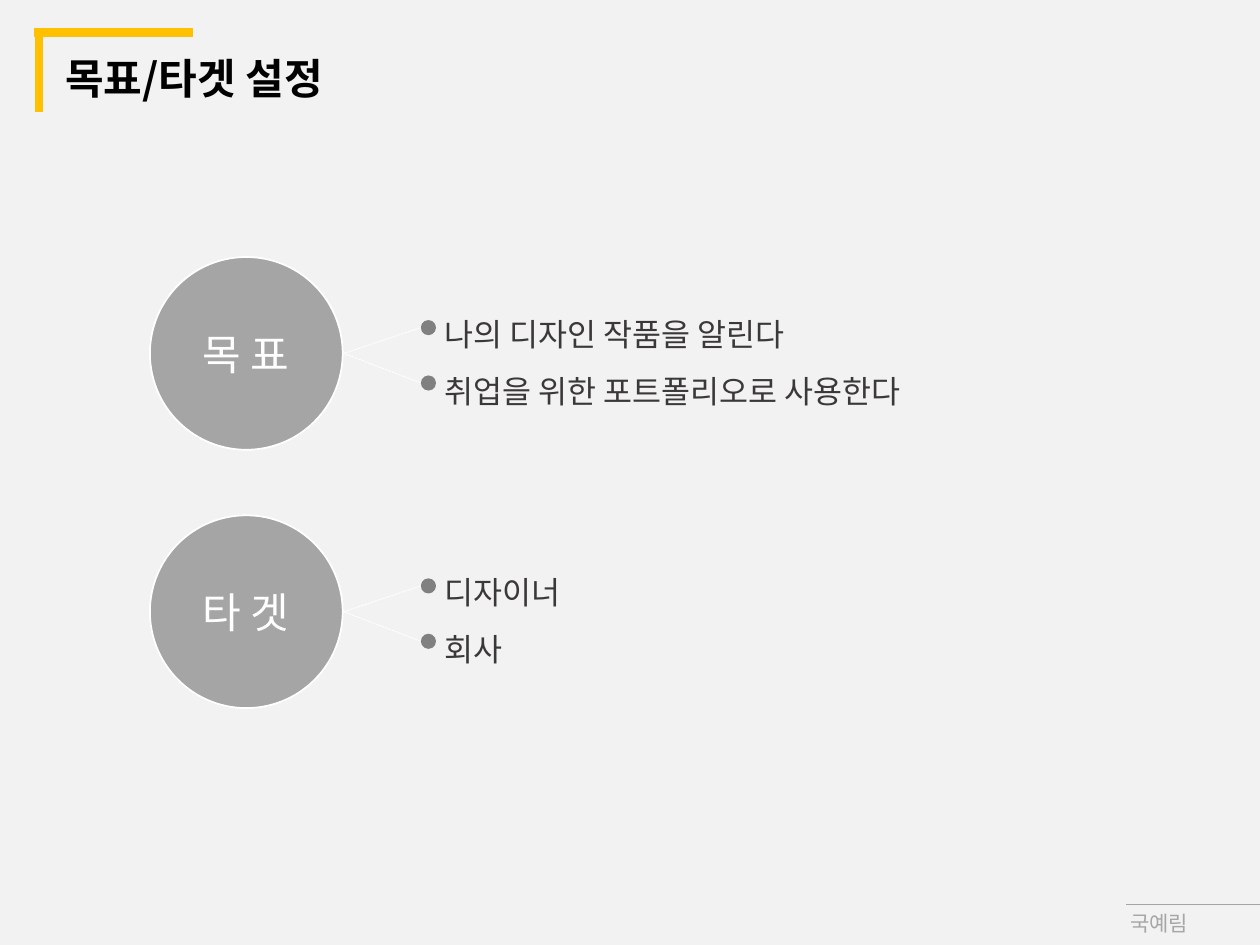
from pptx import Presentation
from pptx.dml.color import RGBColor
from pptx.enum.dml import MSO_LINE
from pptx.enum.shapes import MSO_CONNECTOR, MSO_SHAPE
from pptx.enum.text import MSO_ANCHOR, PP_ALIGN
from pptx.oxml.ns import qn
from pptx.util import Inches, Pt
from lxml import etree

FONT = "Noto Sans CJK KR"
PAPER = RGBColor(0xF2, 0xF2, 0xF2)
WHITE = RGBColor(0xFF, 0xFF, 0xFF)
BLACK = RGBColor(0x00, 0x00, 0x00)
YELLOW = RGBColor(0xFF, 0xC0, 0x00)
GRAY = RGBColor(0xA5, 0xA5, 0xA5)
FOOTER_GRAY = RGBColor(0xA6, 0xA6, 0xA6)
DOT_GRAY = RGBColor(0x80, 0x80, 0x80)
TEXT_GRAY = RGBColor(0x3B, 0x38, 0x38)

TOPICS = [
    ("목 표", ["나의 디자인 작품을 알린다", "취업을 위한 포트폴리오로 사용한다"]),
    ("타 겟", ["디자이너", "회사"]),
]


def write(sp, lines, size, color, bold=False, anchor=MSO_ANCHOR.TOP, wrap=True, **para):
    """Fill a shape with one paragraph per line in a single style."""
    tf = sp.text_frame
    tf.word_wrap = wrap
    tf.vertical_anchor = anchor
    for i, line in enumerate(lines):
        p = tf.add_paragraph() if i else tf.paragraphs[0]
        for name, value in para.items():
            setattr(p, name, value)
        r = p.add_run()
        r.text = line
        for name, value in {"size": Pt(size), "name": FONT, "bold": bold}.items():
            setattr(r.font, name, value)
        r.font.color.rgb = color
        ea = etree.SubElement(r.font._element, qn("a:ea"))
        ea.set("typeface", FONT)


def add_text(s, x, y, w, h, lines, size, color, **style):
    """Add a text box."""
    sp = s.shapes.add_textbox(Inches(x), Inches(y), Inches(w), Inches(h))
    write(sp, lines, size, color, **style)


def add_line(s, x1, y1, x2, y2, color, width, dash=None):
    """Add a straight line without shadow."""
    c = s.shapes.add_connector(MSO_CONNECTOR.STRAIGHT, Inches(x1), Inches(y1), Inches(x2), Inches(y2))
    c.line.color.rgb = color
    c.line.width = Pt(width)
    if dash:
        c.line.dash_style = dash
    etree.SubElement(c._element.spPr, qn("a:effectLst"))


def add_circle(s, x, y, d, fill, outline=None):
    """Add a filled circle with an optional one-point outline."""
    sp = s.shapes.add_shape(MSO_SHAPE.OVAL, Inches(x), Inches(y), Inches(d), Inches(d))
    sp.shadow.inherit = False
    sp.fill.solid()
    sp.fill.fore_color.rgb = fill
    if outline is None:
        sp.line.fill.background()
    else:
        sp.line.color.rgb = outline
        sp.line.width = Pt(1)
    return sp


def add_header(s, x, y, title):
    """Draw the yellow corner and the title beside it."""
    add_line(s, x, y, x + 1.26, y, YELLOW, 5)
    add_line(s, x + 0.04, y + 0.63, x + 0.04, y, YELLOW, 5)
    add_text(s, x + 0.15, y + 0.13, 7.84, 0.5, [title], 24, BLACK, bold=True,
             anchor=MSO_ANCHOR.MIDDLE, line_spacing=0.9)


def add_footer(s, x, y, author):
    """Draw the rule and the author name at the lower right."""
    add_text(s, x - 0.57, y, 1.16, 0.3, [author], 12, FOOTER_GRAY, alignment=PP_ALIGN.RIGHT)
    add_line(s, x, y, 10, y, GRAY, 0.5)


def add_topic(s, x, y, d, label, points):
    """Draw a labelled circle with dashed branches to its points."""
    sp = add_circle(s, x, y, d, GRAY, WHITE)
    write(sp, [label], 24, WHITE, anchor=MSO_ANCHOR.MIDDLE, wrap=False, alignment=PP_ALIGN.CENTER)
    dot, dot_x, gap = 0.12, x + d + 0.62, 0.44
    add_text(s, dot_x + 0.09, y + 0.26, 6.01, 1.01, points, 18, TEXT_GRAY, line_spacing=1.5)
    for i in range(len(points)):
        dot_y = y + 0.5 + i * gap
        add_line(s, dot_x, dot_y + dot / 2, x + d + 0.01, y + d / 2, WHITE, 0.5, MSO_LINE.SQUARE_DOT)
        add_circle(s, dot_x, dot_y, dot, DOT_GRAY)


def main():
    """Build the slide and save it."""
    prs = Presentation()
    prs.slide_width, prs.slide_height = Inches(10), Inches(7.5)
    s = prs.slides.add_slide(prs.slide_layouts[6])
    s.background.fill.solid()
    s.background.fill.fore_color.rgb = PAPER
    add_header(s, 0.27, 0.26, "목표/타겟 설정")
    for i, (label, points) in enumerate(TOPICS):
        add_topic(s, 1.19, 2.04 + i * 2.05, 1.53, label, points)
    add_footer(s, 8.94, 7.18, "국예림")
    prs.save("out.pptx")


if __name__ == "__main__":
    main()
